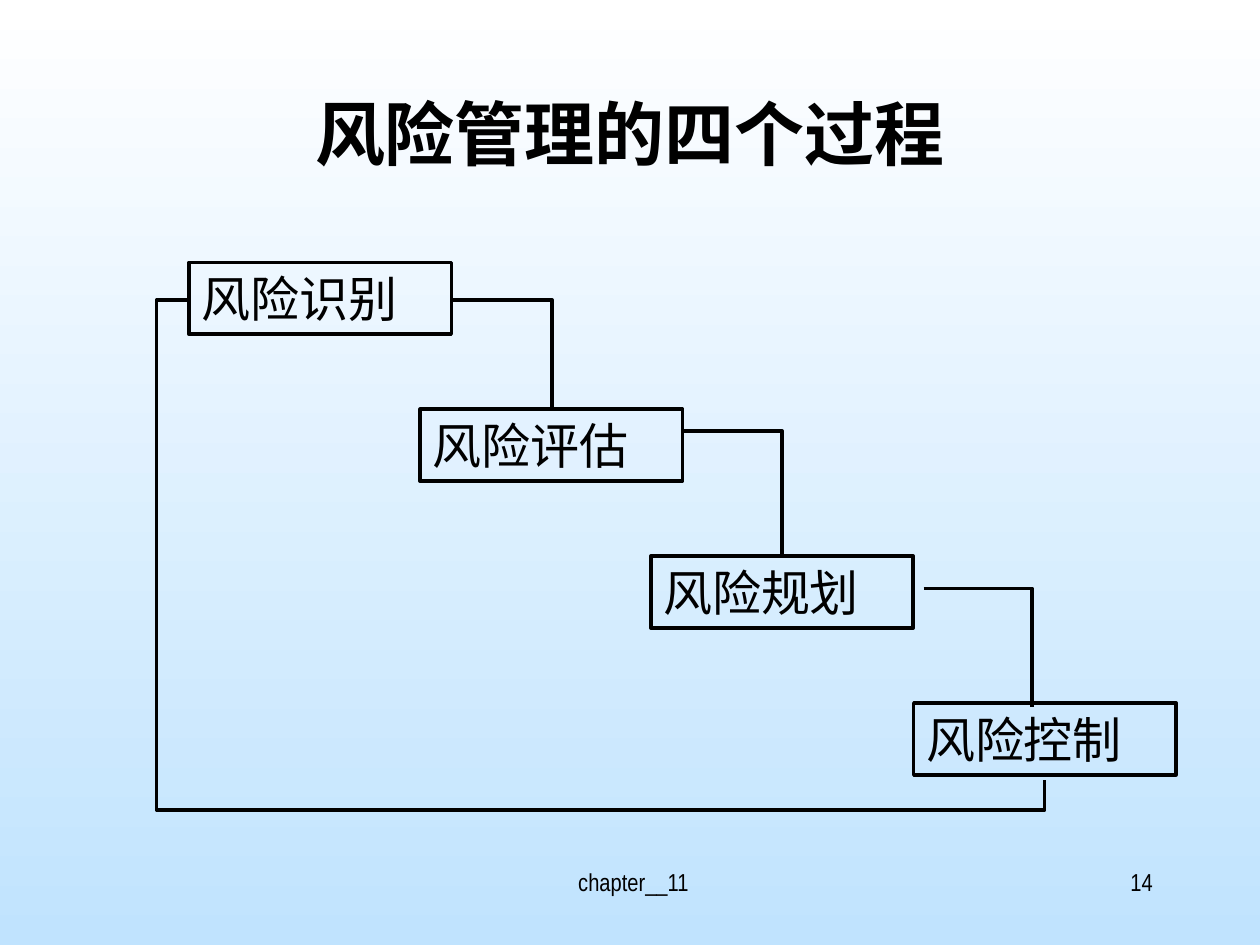
"""Build the slide showing the four processes of risk management."""
from dataclasses import dataclass

import lxml.etree
import pptx
import pptx.dml.color
import pptx.enum.shapes
import pptx.enum.text
import pptx.oxml.ns
import pptx.util

Cm = pptx.util.Cm
Align = pptx.enum.text.PP_ALIGN
Anchor = pptx.enum.text.MSO_ANCHOR
qn = pptx.oxml.ns.qn
BLACK = "000000"
CJK_FONT = "Noto Sans CJK SC"
LATIN_FONT = "Arial Narrow"
STEP_TOP, STEP_PITCH, STEP_WIDTH, STEP_HEIGHT = 5.29, 2.96, 5.29, 1.45


@dataclass
class Label:
    text: str
    left: float
    top: float
    width: float
    height: float
    size: float
    align: Align
    font: str = LATIN_FONT
    bold: bool = False


@dataclass
class Elbow:
    left: float
    top: float
    width: float
    height: float
    preset: str = "bentConnector2"
    rotation: int = 0
    flip_vertical: bool = False
    adjustments: tuple[int, ...] = ()


LABELS = [
    Label("风险管理的四个过程", 1.9, 1.7, 21.59, 3.18, 40, Align.CENTER, CJK_FONT, True),
    Label(" chapter__11", 8.69, 17.35, 8.05, 1.27, 14, Align.CENTER),
    Label("14", 18.21, 17.35, 5.28, 1.27, 14, Align.RIGHT),
]
STEPS = [("风险识别", 3.81), ("风险评估", 8.47), ("风险规划", 13.12), ("风险控制", 18.42)]
ELBOWS = [
    Elbow(9.14, 6.05, 1.99, 2.18),
    Elbow(13.77, 8.69, 2.0, 2.5),
    Elbow(18.62, 11.86, 2.18, 2.39),
    Elbow(7.57, 2.24, 9.68, 17.3, "bentConnector4", 270, True, (-6200, 103500)),
]


def color(value: str) -> pptx.dml.color.RGBColor:
    """Turn a hex string into a colour."""
    return pptx.dml.color.RGBColor.from_string(value)


def write_text(shape, label: Label, anchor: Anchor) -> None:
    """Write the label's text into the shape."""
    frame = shape.text_frame
    frame.word_wrap = True
    frame.vertical_anchor = anchor
    paragraph = frame.paragraphs[0]
    paragraph.text = label.text
    paragraph.alignment = label.align
    font = paragraph.font
    font.size = pptx.util.Pt(label.size)
    font.bold = label.bold
    font.name = label.font
    font.color.rgb = color(BLACK)
    properties = paragraph._p.pPr.find(qn("a:defRPr"))
    lxml.etree.SubElement(properties, qn("a:ea"), typeface=CJK_FONT)


def draw_line(line) -> None:
    """Give an outline its colour and width."""
    line.color.rgb = color(BLACK)
    line.width = pptx.util.Pt(2)


def add_label(slide, label: Label) -> None:
    """Add a plain text box."""
    shape = slide.shapes.add_textbox(
        Cm(label.left), Cm(label.top), Cm(label.width), Cm(label.height))
    write_text(shape, label, Anchor.TOP)


def add_step(slide, label: Label) -> None:
    """Add an outlined process box."""
    shape = slide.shapes.add_shape(
        pptx.enum.shapes.MSO_SHAPE.RECTANGLE,
        Cm(label.left), Cm(label.top), Cm(label.width), Cm(label.height))
    shape.shadow.inherit = False
    shape.fill.background()
    draw_line(shape.line)
    write_text(shape, label, Anchor.MIDDLE)


def add_elbow(slide, elbow: Elbow) -> None:
    """Add a bent connector with its preset, turn and adjustments."""
    connector = slide.shapes.add_connector(
        pptx.enum.shapes.MSO_CONNECTOR.ELBOW, Cm(elbow.left), Cm(elbow.top),
        Cm(elbow.left + elbow.width), Cm(elbow.top + elbow.height))
    draw_line(connector.line)
    properties = connector._element.spPr
    lxml.etree.SubElement(properties, qn("a:effectLst"))
    transform = properties.find(qn("a:xfrm"))
    if elbow.rotation:
        transform.set("rot", str(elbow.rotation * 60000))
    if elbow.flip_vertical:
        transform.set("flipV", "1")
    geometry = properties.find(qn("a:prstGeom"))
    geometry.set("prst", elbow.preset)
    guides = geometry.find(qn("a:avLst"))
    for number, value in enumerate(elbow.adjustments, 1):
        lxml.etree.SubElement(guides, qn("a:gd"), name=f"adj{number}", fmla=f"val {value}")


def paint_background(slide) -> None:
    """Fill the background from white at the top to light blue."""
    fill = slide.background.fill
    fill.gradient()
    fill.gradient_angle = 270
    for stop, position, value in zip(fill.gradient_stops, (0, 1), ("FFFFFF", "C0E3FE")):
        stop.position = position
        stop.color.rgb = color(value)


def main() -> None:
    """Build and save the presentation."""
    presentation = pptx.Presentation()
    presentation.slide_width = Cm(25.4)
    presentation.slide_height = Cm(19.05)
    slide = presentation.slides.add_slide(presentation.slide_layouts[6])
    paint_background(slide)
    for label in LABELS:
        add_label(slide, label)
    for index, (text, left) in enumerate(STEPS):
        top = STEP_TOP + index * STEP_PITCH
        add_step(slide, Label(text, left, top, STEP_WIDTH, STEP_HEIGHT, 28, Align.LEFT))
    for elbow in ELBOWS:
        add_elbow(slide, elbow)
    presentation.save("out.pptx")


if __name__ == "__main__":
    main()
